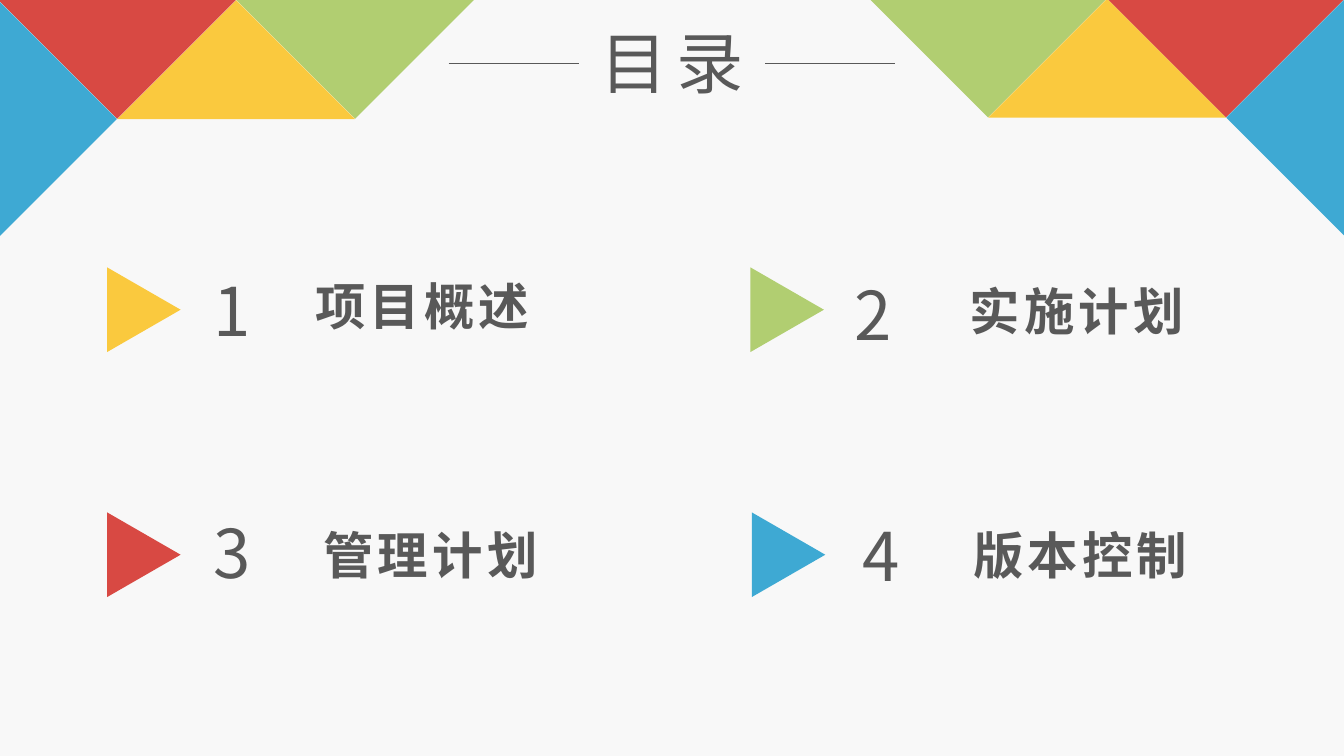
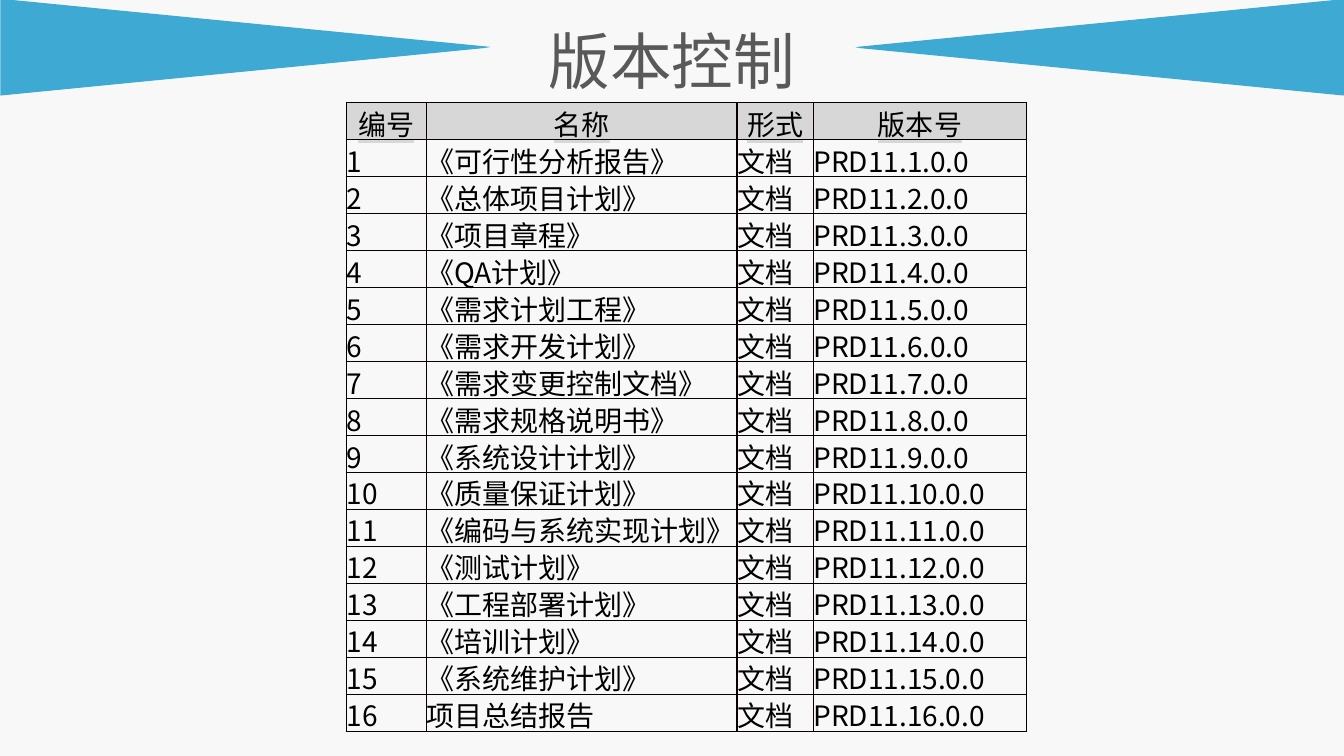
from dataclasses import dataclass

from lxml import etree
from pptx import Presentation
from pptx.dml.color import RGBColor
from pptx.enum.shapes import MSO_CONNECTOR, MSO_SHAPE
from pptx.enum.text import PP_ALIGN
from pptx.oxml.ns import qn
from pptx.slide import Slide
from pptx.table import _Cell
from pptx.text.text import _Paragraph
from pptx.util import Pt

PAPER = RGBColor(0xF8, 0xF8, 0xF8)
INK = RGBColor(0x59, 0x59, 0x59)
BLACK = RGBColor(0x00, 0x00, 0x00)
EDGE = RGBColor(0x08, 0x00, 0x00)
GREY = RGBColor(0xD7, 0xD7, 0xD7)
GREEN = RGBColor(0xB1, 0xCE, 0x71)
YELLOW = RGBColor(0xFA, 0xC9, 0x3E)
RED = RGBColor(0xD8, 0x49, 0x43)
BLUE = RGBColor(0x3E, 0xA9, 0xD3)

SANS = "Noto Sans CJK SC"
SERIF = "Times New Roman"
CENTER = PP_ALIGN.CENTER
LEFT = PP_ALIGN.LEFT
RIGHT_TRI = MSO_SHAPE.RIGHT_TRIANGLE
TRI = MSO_SHAPE.ISOSCELES_TRIANGLE
STRAIGHT = MSO_CONNECTOR.STRAIGHT

# Turns that point the square corner of a right triangle each way
DOWN, UP, TO_RIGHT, TO_LEFT = 315, 135, 225, 45


@dataclass(frozen=True)
class Box:
    left: float
    top: float
    width: float
    height: float

    def points(self) -> list[Pt]:
        return [Pt(v) for v in (self.left, self.top, self.width, self.height)]


@dataclass(frozen=True)
class Style:
    size: float
    color: RGBColor = INK
    bold: bool = False
    gap: float = 0
    align: PP_ALIGN = CENTER
    mark: RGBColor | None = None


@dataclass(frozen=True)
class Topic:
    label: str
    color: RGBColor
    arrow: tuple[float, float]
    digit: tuple[float, float]
    text: tuple[float, float]


DIGIT = Style(48)
LABEL = Style(36, bold=True, gap=3)
HEAD = Style(20, BLACK, mark=GREY)
BODY = Style(20, BLACK, align=LEFT)

TOPICS = [
    Topic("项目概述", YELLOW, (72.5, 195), (142, 188.5), (174.5, 193)),
    Topic("实施计划", GREEN, (532, 195), (600, 191.5), (642, 196.5)),
    Topic("管理计划", RED, (72.5, 370), (142, 362), (180.5, 371)),
    Topic("版本控制", BLUE, (533, 370), (606, 363.5), (644.5, 371)),
]

WIDTHS = [57, 222, 54.5, 152.5]
ROW = 26.43
HEADERS = ["编号", "名称", "形式", "版本号"]
# Bars split a name into runs; every second run is set in the serif font
NAMES = [
    "《可行性分析报告》", "《总体项目|计划|》", "《项目章程》", "《QA计划》",
    "《需求计划工程》", "《需求开发计划》", "《需求变更控制文档》",
    "《需求规格说明书》", "《系统设计计划》", "《质量保证计划》",
    "《编码与系统实现计划》", "《测试计划》", "《工程部署计划》",
    "《培训计划》", "《系统维护计划》", "项目|总结报告",
]


def add_fill(parent: etree._Element, tag: str, color: RGBColor) -> etree._Element:
    fill = etree.SubElement(parent, qn(tag))
    etree.SubElement(fill, qn("a:srgbClr"), val=str(color))
    return fill


def write(para: _Paragraph, text: str, style: Style) -> None:
    """Fill a paragraph with text in the given style."""
    for i, part in enumerate(text.split("|")):
        run = para.add_run()
        run.text = part
        if i % 2:
            run.font.name = SERIF
    para.alignment = style.align
    font = para.font
    font.size = Pt(style.size)
    font.bold = style.bold
    font.color.rgb = style.color
    font.name = SANS
    props = para._p.pPr.find(qn("a:defRPr"))
    etree.SubElement(props, qn("a:ea"), typeface=SANS)
    if style.gap:
        props.set("spc", str(int(style.gap * 100)))
    if style.mark is not None:
        mark = add_fill(props, "a:highlight", style.mark)
        props.find(qn("a:latin")).addprevious(mark)


def add_text(slide: Slide, box: Box, text: str, style: Style) -> None:
    frame = slide.shapes.add_textbox(*box.points()).text_frame
    frame.word_wrap = True
    write(frame.paragraphs[0], text, style)


def add_tri(slide: Slide, kind: MSO_SHAPE, box: Box, turn: float,
            color: RGBColor) -> None:
    shape = slide.shapes.add_shape(kind, *box.points())
    shape.rotation = turn
    shape.shadow.inherit = False
    shape.fill.solid()
    shape.fill.fore_color.rgb = color
    shape.line.fill.background()


def add_rule(slide: Slide, left: float, right: float, y: float) -> None:
    line = slide.shapes.add_connector(STRAIGHT, Pt(left), Pt(y), Pt(right), Pt(y))
    line.line.color.rgb = INK
    line.line.width = Pt(0.5)
    etree.SubElement(line._element.spPr, qn("a:effectLst"))


def add_corner(slide: Slide, left: float, top: float, step: float,
               side: int) -> None:
    """Draw four triangles from the green one out to the slide's edge."""
    parts = [(GREEN, DOWN), (YELLOW, UP), (RED, DOWN), (BLUE, side)]
    for i, (color, turn) in enumerate(parts):
        box = Box(left + i * step, top + i % 2 * 85, 120, 120)
        add_tri(slide, RIGHT_TRI, box, turn, color)


def add_border(cell: _Cell, side: str, color: RGBColor, width: float) -> None:
    line = etree.SubElement(cell._tc.get_or_add_tcPr(), qn(f"a:ln{side}"),
                            w=str(Pt(width)))
    add_fill(line, "a:solidFill", color)


def fill_cell(cell: _Cell, text: str, head: bool, first: bool) -> None:
    cell.margin_left = cell.margin_right = 0
    cell.margin_top = cell.margin_bottom = 0
    for side in "LRTB":
        thin = side == "R" and not first
        add_border(cell, side, BLACK if thin else EDGE, 0.75 if thin else 1)
    if head:
        cell.fill.solid()
        cell.fill.fore_color.rgb = GREY
    else:
        cell.fill.background()
    write(cell.text_frame.paragraphs[0], text, HEAD if head else BODY)


def add_grid(slide: Slide, left: float, top: float) -> None:
    rows = [HEADERS] + [[str(n), name, "文档", f"PRD11.{n}.0.0"]
                        for n, name in enumerate(NAMES, 1)]
    box = Box(left, top, sum(WIDTHS), ROW * len(rows))
    table = slide.shapes.add_table(len(rows), len(WIDTHS), *box.points()).table
    table.first_row = table.horz_banding = False
    for col, width in zip(table.columns, WIDTHS):
        col.width = Pt(width)
    for r, row in enumerate(rows):
        table.rows[r].height = Pt(ROW)
        for c, text in enumerate(row):
            fill_cell(table.cell(r, c), text, r == 0, c == 0)


def build_menu(slide: Slide) -> None:
    add_corner(slide, 193.7, -60, -85, TO_RIGHT)
    add_corner(slide, 645.8, -61, 85, TO_LEFT)
    add_text(slide, Box(407, 12, 146, 65), "目录", Style(48, gap=6))
    for left, right in ((320.5, 413.5), (546.5, 639.5)):
        add_rule(slide, left, right, 45.25)
    for n, topic in enumerate(TOPICS, 1):
        add_tri(slide, TRI, Box(*topic.arrow, 60.5, 52.5), 90, topic.color)
        add_text(slide, Box(*topic.digit, 47.5, 65.5), str(n), DIGIT)
        add_text(slide, Box(*topic.text, 254, 50.5), topic.label, LABEL)


def build_log(slide: Slide) -> None:
    for dx, dy in ((0, 0), (1.25, -0.5)):
        for left, turn in ((140.5, 90), (751, 270)):
            box = Box(left + dx, -140.5 + dy, 68.5, 349)
            add_tri(slide, TRI, box, turn, BLUE)
    add_text(slide, Box(340.5, 13, 279, 60.5), "版本控制", Style(44))
    add_grid(slide, 247.5, 73.25)


def main() -> None:
    deck = Presentation()
    deck.slide_width, deck.slide_height = Pt(960), Pt(540)
    back = deck.slide_master.background.fill
    back.solid()
    back.fore_color.rgb = PAPER
    blank = deck.slide_layouts[6]
    for build in (build_menu, build_log):
        build(deck.slides.add_slide(blank))
    deck.save("out.pptx")


if __name__ == "__main__":
    main()
